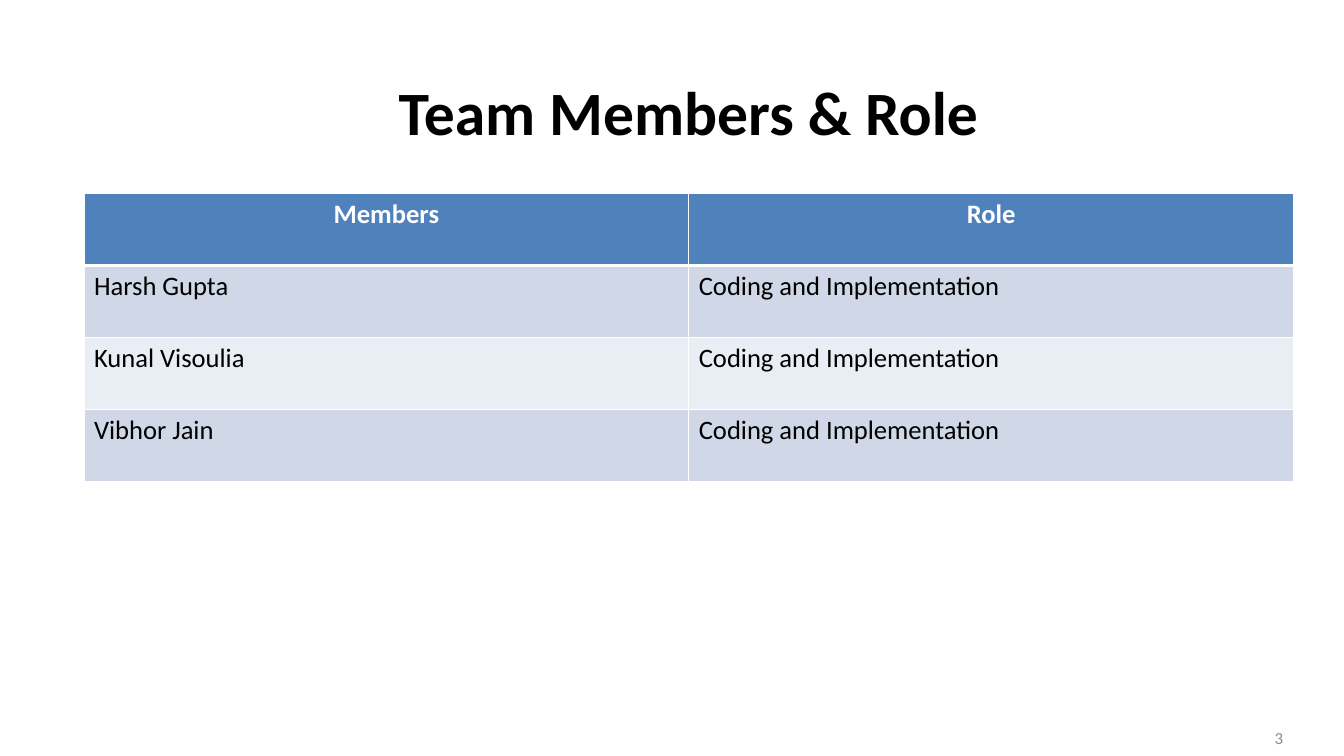
from dataclasses import dataclass
from typing import Any

from lxml import etree
from pptx import Presentation
from pptx import util as u
from pptx.dml.color import RGBColor
from pptx.enum import text
from pptx.oxml import ns

SLIDE_WIDTH, SLIDE_HEIGHT = u.Inches(13.33), u.Inches(7.5)
FONT = "Calibri"
WHITE, BLACK, GREY = "FFFFFF", "000000", "8C8C8C"
HEADER_FILL = "4F81BD"
BAND_FILLS = ("D0D8E8", "E9EDF4")
THIN, THICK = 1, 3
ALIGN = text.PP_ALIGN


@dataclass(frozen=True)
class Area:
    """A rectangle in shares of the slide's width and height."""
    left: float
    top: float
    width: float
    height: float

    def box(self) -> tuple[int, int, int, int]:
        return (int(self.left * SLIDE_WIDTH), int(self.top * SLIDE_HEIGHT),
                int(self.width * SLIDE_WIDTH), int(self.height * SLIDE_HEIGHT))


@dataclass(frozen=True)
class Style:
    size: float
    color: str
    bold: bool
    align: Any


@dataclass(frozen=True)
class Label:
    wording: str
    area: Area
    style: Style


LABELS = (
    Label("3", Area(0.729, 0.949, 0.233, 0.053),
          Style(12, GREY, False, ALIGN.RIGHT)),
    Label("Team Members & Role", Area(0.0625, 0.0625, 0.9, 0.167),
          Style(44, BLACK, True, ALIGN.CENTER)),
)
TABLE_AREA = Area(0.0625, 0.256, 0.9, 0.381)
HEADER_STYLE = Style(19, WHITE, True, ALIGN.CENTER)
BODY_STYLE = Style(19, BLACK, False, ALIGN.LEFT)
TEAM = (
    ("Members", "Role"),
    ("Harsh Gupta", "Coding and Implementation"),
    ("Kunal Visoulia", "Coding and Implementation"),
    ("Vibhor Jain", "Coding and Implementation"),
)


def rgb(color: str) -> RGBColor:
    return RGBColor.from_string(color)


def write(frame: Any, wording: str, style: Style) -> None:
    paragraph = frame.paragraphs[0]
    paragraph.alignment = style.align
    run = paragraph.add_run()
    run.text = wording
    formats = {"name": FONT, "size": u.Pt(style.size), "bold": style.bold}
    for attribute, value in formats.items():
        setattr(run.font, attribute, value)
    run.font.color.rgb = rgb(style.color)


def add_label(slide: Any, label: Label) -> None:
    frame = slide.shapes.add_textbox(*label.area.box()).text_frame
    formats = {"word_wrap": True, "vertical_anchor": text.MSO_ANCHOR.MIDDLE}
    for attribute, value in formats.items():
        setattr(frame, attribute, value)
    write(frame, label.wording, label.style)


def add_borders(cell: Any, widths: dict[str, float]) -> None:
    """Draw white cell edges; call before filling, as the schema wants lines first."""
    properties = cell._tc.get_or_add_tcPr()
    for edge, width in widths.items():
        line = etree.SubElement(properties, ns.qn(f"a:ln{edge}"), w=str(u.Pt(width)))
        fill = etree.SubElement(line, ns.qn("a:solidFill"))
        etree.SubElement(fill, ns.qn("a:srgbClr"), val=WHITE)


def add_team_table(slide: Any) -> None:
    table = slide.shapes.add_table(len(TEAM), len(TEAM[0]), *TABLE_AREA.box()).table
    for row, entries in enumerate(TEAM):
        is_header = row == 0
        style = HEADER_STYLE if is_header else BODY_STYLE
        color = HEADER_FILL if is_header else BAND_FILLS[(row - 1) % 2]
        widths = {"L": THIN, "R": THIN,
                  "T": THICK if row == 1 else THIN,
                  "B": THICK if is_header else THIN}
        for column, wording in enumerate(entries):
            cell = table.cell(row, column)
            add_borders(cell, widths)
            cell.fill.solid()
            cell.fill.fore_color.rgb = rgb(color)
            write(cell.text_frame, wording, style)


def main() -> None:
    presentation = Presentation()
    presentation.slide_width, presentation.slide_height = SLIDE_WIDTH, SLIDE_HEIGHT
    slide = presentation.slides.add_slide(presentation.slide_layouts[6])
    for label in LABELS:
        add_label(slide, label)
    add_team_table(slide)
    presentation.save("out.pptx")


if __name__ == "__main__":
    main()
